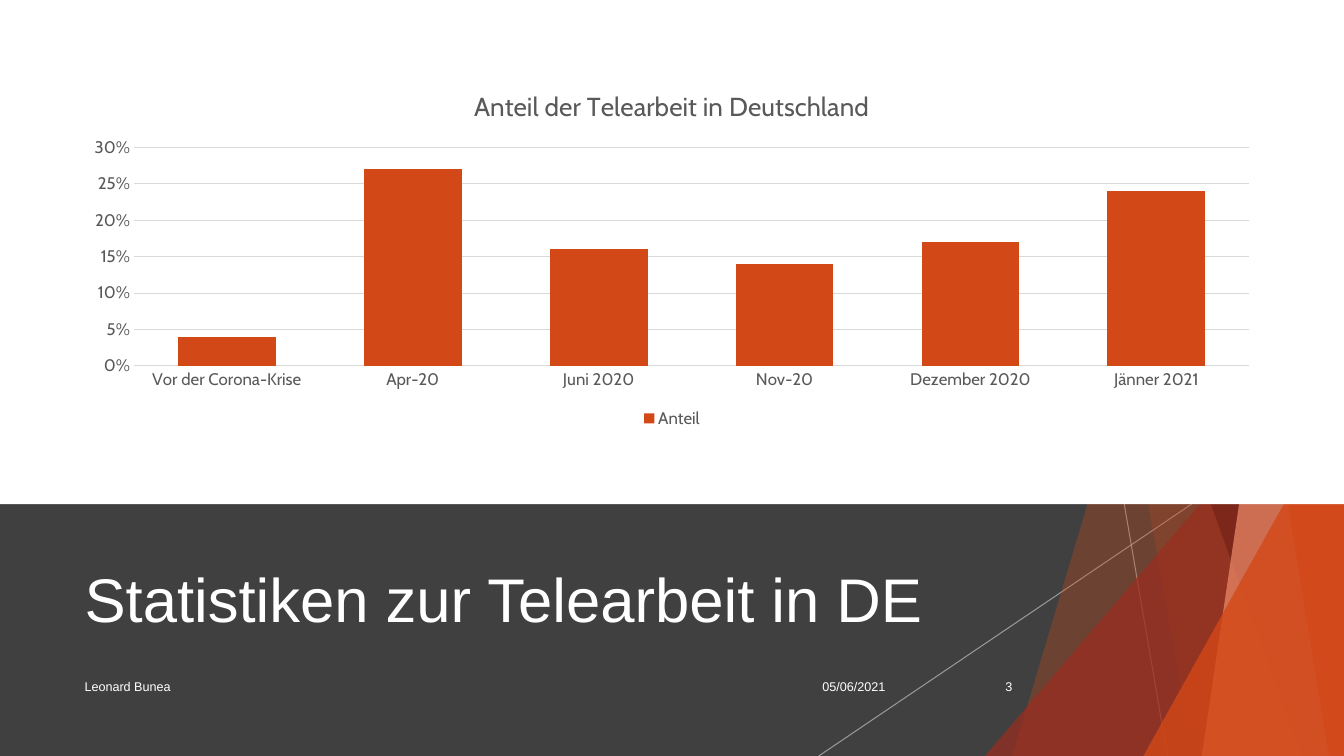
from lxml.etree import SubElement
from pptx import Presentation
from pptx.chart.data import CategoryChartData
from pptx.dml.color import RGBColor
from pptx.enum.chart import XL_CHART_TYPE as CHART, XL_LEGEND_POSITION as LEGEND, XL_TICK_MARK as TICK
from pptx.enum.shapes import MSO_CONNECTOR as CONN, MSO_SHAPE as SHAPE
from pptx.enum.text import MSO_ANCHOR as ANCHOR, PP_ALIGN as ALIGN
from pptx.oxml.ns import qn
from pptx.util import Inches, Pt

COLORS = dict(white="FFFFFF", dark="404040", orange="D34817", red="9B2D1F", maroon="742217",
              salmon="EF8C6A", ray="BFBFBF", grid="D9D9D9", text="595959")

TITLE = "Statistiken zur Telearbeit in DE"
CHART_TITLE = "Anteil der Telearbeit in Deutschland"
SERIES = "Anteil"
SHARES = {"Vor der Corona-Krise": 0.04, "Apr-20": 0.27, "Juni 2020": 0.16,
          "Nov-20": 0.14, "Dezember 2020": 0.17, "Jänner 2021": 0.24}

# Percent of slide width and height
BAND_TOP = 66.67
TITLE_BOX = (5.55, 69.47, 70.52, 19.2)
CHART_BOX = (5.25, 9.33, 89.5, 47.87)
FOOTER_TOP, FOOTER_HEIGHT = 88.13, 5.33
FOOTERS = [("Leonard Bunea", 5.55, 51.69, ALIGN.LEFT),
           ("05/06/2021", 59.11, 7.5, ALIGN.RIGHT),
           ("3", 70.44, 5.63, ALIGN.RIGHT)]
RAYS = [(83.65, 86.87), (88.67, 60.92)]
FACETS = [("panel", 92.12, 75.32, "orange", 30),
          ("panel", 78.77, 88.75, "orange", 20),
          ("triangle", 73.29, 44.4, "red", 72),
          ("panel", 76.59, 96.85, "maroon", 70),
          ("panel", 97.75, 89.42, "salmon", 70),
          ("panel", 89.72, 98.87, "orange", 65),
          ("triangle", 85.07, 52.4, "orange", 80)]

prs = Presentation()
prs.slide_width, prs.slide_height = Inches(13.33), Inches(7.5)
slide = prs.slides.add_slide(prs.slide_layouts[5])
shapes = slide.shapes


def rgb(name):
    return RGBColor.from_string(COLORS[name])


def point(x, y):
    return int(prs.slide_width * x / 100), int(prs.slide_height * y / 100)


def box(x, y, w, h):
    return *point(x, y), *point(w, h)


def set_alpha(fill, percent):
    color = fill._xPr.find(".//" + qn("a:srgbClr"))
    SubElement(color, qn("a:alpha"), val=str(percent * 1000))


def paint(sp, color, alpha=100):
    sp.shadow.inherit = False
    sp.fill.solid()
    sp.fill.fore_color.rgb = rgb(color)
    sp.line.fill.background()
    if alpha < 100:
        set_alpha(sp.fill, alpha)


def style(font, size, color, name):
    font.size, font.name, font.bold = Pt(size), name, False
    font.color.rgb = rgb(color)


def write(sp, text, size, align=ALIGN.LEFT, after=0):
    tf = sp.text_frame
    tf.word_wrap = True
    tf.vertical_anchor = ANCHOR.MIDDLE
    p = tf.paragraphs[0]
    p.alignment, p.space_after = align, Pt(after)
    r = p.add_run()
    r.text = text
    style(r.font, size, "white", "Arial")


def add_band(top, height, color):
    paint(shapes.add_shape(SHAPE.RECTANGLE, *box(0, top, 100, height)), color)


def add_ray(top_x, bottom_x):
    ray = shapes.add_connector(CONN.STRAIGHT, *point(top_x, BAND_TOP), *point(bottom_x, 100))
    ray.line.width = Pt(0.75)
    ray.line.color.rgb = rgb("ray")
    set_alpha(ray.line.fill, 70)
    SubElement(ray.element.spPr, qn("a:effectLst"))


def add_facet(kind, a, b, color, alpha):
    if kind == "panel":
        builder = shapes.build_freeform(*point(a, 0))
        builder.add_line_segments([point(100, 0), point(100, 100), point(b, 100)], close=True)
        sp = builder.convert_to_shape()
    else:
        sp = shapes.add_shape(SHAPE.ISOSCELES_TRIANGLE, *box(a, b, 100 - a, 100 - b))
        sp.adjustments[0] = 1
    paint(sp, color, alpha)


def add_share_chart():
    data = CategoryChartData(number_format="0%")
    data.categories = list(SHARES)
    data.add_series(SERIES, list(SHARES.values()))
    chart = shapes.add_chart(CHART.COLUMN_CLUSTERED, *box(*CHART_BOX), data).chart
    style(chart.font, 12, "text", "Cabin")

    chart.has_title = True
    r = chart.chart_title.text_frame.paragraphs[0].add_run()
    r.text = CHART_TITLE
    style(r.font, 18.6, "text", "Cabin")
    chart.has_legend = True
    chart.legend.position = LEGEND.BOTTOM
    chart.legend.include_in_layout = False
    style(chart.legend.font, 12, "text", "Cabin")

    plot = chart.plots[0]
    plot.gap_width, plot.overlap, plot.vary_by_categories = 90, -27, False
    fill = plot.series[0].format.fill
    fill.solid()
    fill.fore_color.rgb = rgb("orange")

    cat, val = chart.category_axis, chart.value_axis
    for axis in (cat, val):
        axis.major_tick_mark = axis.minor_tick_mark = TICK.NONE
        style(axis.tick_labels.font, 12, "text", "Cabin")
    val.minimum_scale, val.maximum_scale, val.major_unit = 0, 0.3, 0.05
    val.tick_labels.number_format = "0%"
    val.tick_labels.number_format_is_linked = False
    val.format.line.fill.background()
    for line in (cat.format.line, val.major_gridlines.format.line):
        line.width = Pt(0.75)
        line.color.rgb = rgb("grid")


add_band(BAND_TOP, 100 - BAND_TOP, "dark")
for ray in RAYS:
    add_ray(*ray)
for facet in FACETS:
    add_facet(*facet)

title = shapes.title
title.left, title.top, title.width, title.height = box(*TITLE_BOX)
write(title, TITLE, 44)
title.element.getparent().append(title.element)

add_band(0, BAND_TOP, "white")
for text, left, width, align in FOOTERS:
    footer = shapes.add_textbox(*box(left, FOOTER_TOP, width, FOOTER_HEIGHT))
    write(footer, text, 9, align, after=6)
add_share_chart()

prs.save("out.pptx")
